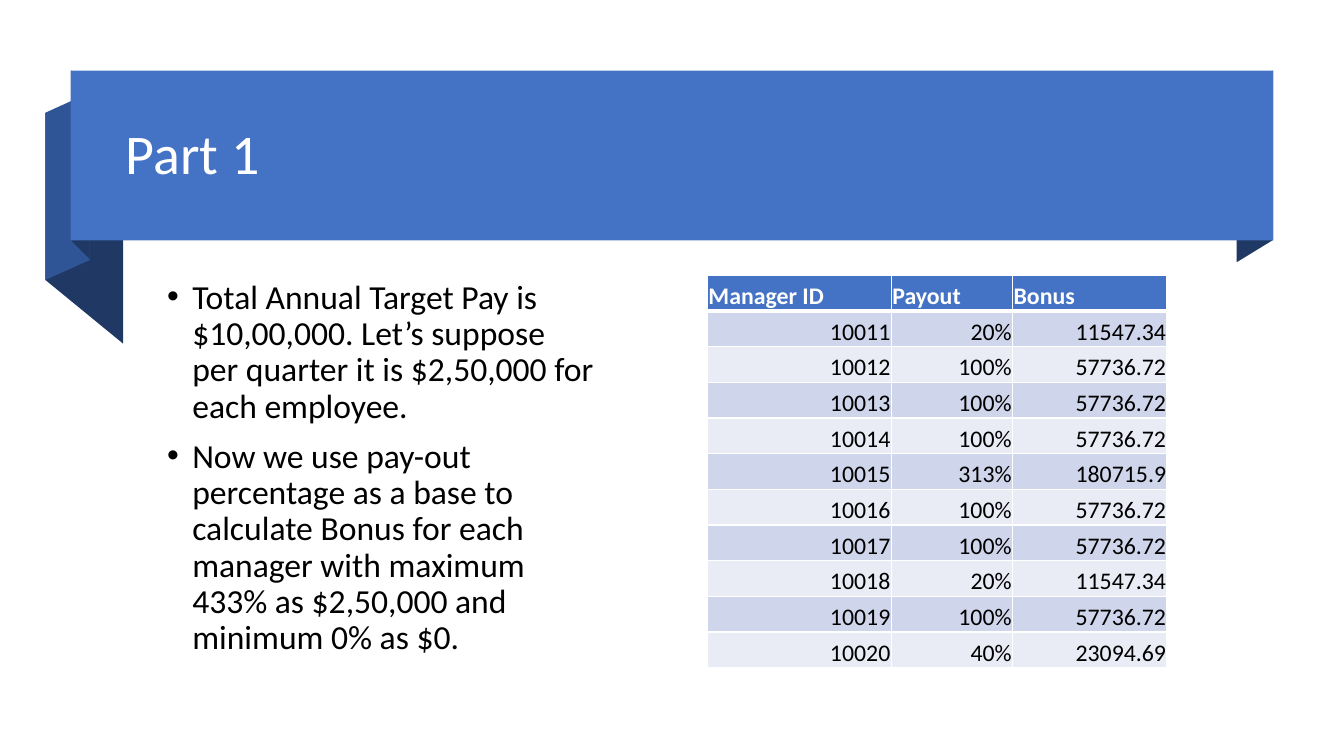
from lxml.etree import SubElement
from pptx import Presentation
from pptx.dml.color import RGBColor
from pptx.enum.shapes import MSO_SHAPE
from pptx.enum.text import MSO_ANCHOR, PP_ALIGN
from pptx.oxml import parse_xml
from pptx.oxml.ns import nsdecls, qn
from pptx.util import Pt

BLUE, SIDE_BLUE, NAVY = "4472C4", "2F5597", "203864"
WHITE, BLACK = "FFFFFF", "000000"
BANDS = ("CFD5EA", "E9EBF5")

RIBBON_FOLDS = [
    (NAVY, [(909.4, 171.4), (883.4, 187.3), (883.4, 65.5), (909.4, 50.4)]),
    (NAVY, [(88, 245.5), (32.4, 200), (32.4, 80.6), (88, 126)]),
    (SIDE_BLUE, [(64.1, 185.8), (32.4, 200), (32.4, 80.6), (64.1, 66.2)]),
    (NAVY, [(64.1, 185), (51, 172), (51, 50.4), (64.1, 64)]),
]
BULLETS = [
    "Total Annual Target Pay is $10,00,000. Let’s suppose per quarter it is "
    "$2,50,000 for each employee.",
    "Now we use pay-out percentage as a base to calculate Bonus for each "
    "manager with maximum 433% as $2,50,000 and minimum 0% as $0.",
]
HEADINGS = ("Manager ID", "Payout", "Bonus")
BONUSES = [
    ("10011", "20%", "11547.34"),
    ("10012", "100%", "57736.72"),
    ("10013", "100%", "57736.72"),
    ("10014", "100%", "57736.72"),
    ("10015", "313%", "180715.9"),
    ("10016", "100%", "57736.72"),
    ("10017", "100%", "57736.72"),
    ("10018", "20%", "11547.34"),
    ("10019", "100%", "57736.72"),
    ("10020", "40%", "23094.69"),
]
COLUMN_WIDTHS = (131.3, 86.7, 110.3)
ROW_HEIGHT = 25.5


def rgb(value):
    """Return the colour for a hex string."""
    return RGBColor.from_string(value)


def apply(target, values):
    """Set every attribute named in a dict of format values."""
    for name, value in values.items():
        setattr(target, name, value)


def paint(shape, color):
    """Give a shape a flat fill with no line or shadow."""
    shape.shadow.inherit = False
    shape.fill.solid()
    shape.fill.fore_color.rgb = rgb(color)
    shape.line.fill.background()


def add_fold(page, color, corners):
    """Draw one folded part of the ribbon from its corners."""
    start, *others = [(Pt(x), Pt(y)) for x, y in corners]
    builder = page.shapes.build_freeform(*start)
    builder.add_line_segments(others, close=True)
    paint(builder.convert_to_shape(), color)


def add_banner(page, left, top, width, height):
    """Draw the front of the ribbon."""
    banner = page.shapes.add_shape(
        MSO_SHAPE.RECTANGLE, Pt(left), Pt(top), Pt(width), Pt(height))
    paint(banner, BLUE)


def write(para, text, size, color, bold=False):
    """Add a formatted run to a paragraph."""
    span = para.add_run()
    span.text = text
    apply(span.font, {"name": "Calibri", "size": Pt(size), "bold": bold})
    span.font.color.rgb = rgb(color)


def add_bullet(para):
    """Give a paragraph a hanging bullet."""
    properties = para._p.get_or_add_pPr()
    properties.set("marL", str(Pt(18)))
    properties.set("indent", str(Pt(-18)))
    SubElement(properties, qn("a:buFont"), typeface="Arial")
    SubElement(properties, qn("a:buChar"), char="•")


def add_text(page, bounds, texts, size, color, anchor, bulleted=False):
    """Add a wrapped text box with one paragraph per text."""
    box = page.shapes.add_textbox(*map(Pt, bounds))
    frame = box.text_frame
    apply(frame, {"word_wrap": True, "vertical_anchor": anchor})
    for index, text in enumerate(texts):
        para = frame.add_paragraph() if index else frame.paragraphs[0]
        apply(para, {"line_spacing": 0.9,
                     "space_before": Pt(10 if bulleted else 0)})
        if bulleted:
            add_bullet(para)
        write(para, text, size, color)


def add_borders(cell, top, bottom):
    """Draw white cell borders with the given top and bottom widths."""
    properties = cell._tc.get_or_add_tcPr()
    widths = {"lnL": 1, "lnR": 1, "lnT": top, "lnB": bottom}
    for index, (side, width) in enumerate(widths.items()):
        line = parse_xml(
            f'<a:{side} {nsdecls("a")} w="{Pt(width)}"><a:solidFill>'
            f'<a:srgbClr val="{WHITE}"/></a:solidFill></a:{side}>')
        properties.insert(index, line)


def fill_cell(cell, text, row):
    """Write and format one cell according to its row."""
    heading = row == 0
    apply(cell, {"vertical_anchor": MSO_ANCHOR.BOTTOM,
                 "margin_left": Pt(0.7), "margin_right": Pt(0.7),
                 "margin_top": Pt(0.7), "margin_bottom": Pt(0)})
    cell.fill.solid()
    cell.fill.fore_color.rgb = rgb(BLUE if heading else BANDS[(row - 1) % 2])
    add_borders(cell, 3 if row == 1 else 1, 3 if heading else 1)
    para = cell.text_frame.paragraphs[0]
    para.alignment = PP_ALIGN.LEFT if heading else PP_ALIGN.RIGHT
    write(para, text, 17, WHITE if heading else BLACK, heading)


def add_bonus_table(page, left, top):
    """Add the table of manager bonuses."""
    rows = [HEADINGS, *BONUSES]
    table = page.shapes.add_table(
        len(rows), len(HEADINGS), Pt(left), Pt(top),
        Pt(sum(COLUMN_WIDTHS)), Pt(ROW_HEIGHT * len(rows))).table
    for column, width in zip(table.columns, COLUMN_WIDTHS):
        column.width = Pt(width)
    for row, texts in enumerate(rows):
        table.rows[row].height = Pt(ROW_HEIGHT)
        for column, text in enumerate(texts):
            fill_cell(table.cell(row, column), text, row)


def main():
    """Build and save the slide."""
    deck = Presentation()
    apply(deck, {"slide_width": Pt(960), "slide_height": Pt(540)})
    page = deck.slides.add_slide(deck.slide_layouts[6])
    for color, corners in RIBBON_FOLDS:
        add_fold(page, color, corners)
    add_banner(page, 50.4, 50.4, 859, 121.3)
    add_text(page, (82.8, 59.8, 811.4, 104.4), ["Part 1"], 40, WHITE,
             MSO_ANCHOR.MIDDLE)
    add_text(page, (112.3, 196.6, 319, 280.8), BULLETS, 24, BLACK,
             MSO_ANCHOR.TOP, bulleted=True)
    add_bonus_table(page, 505.4, 196.6)
    deck.save("out.pptx")


if __name__ == "__main__":
    main()
